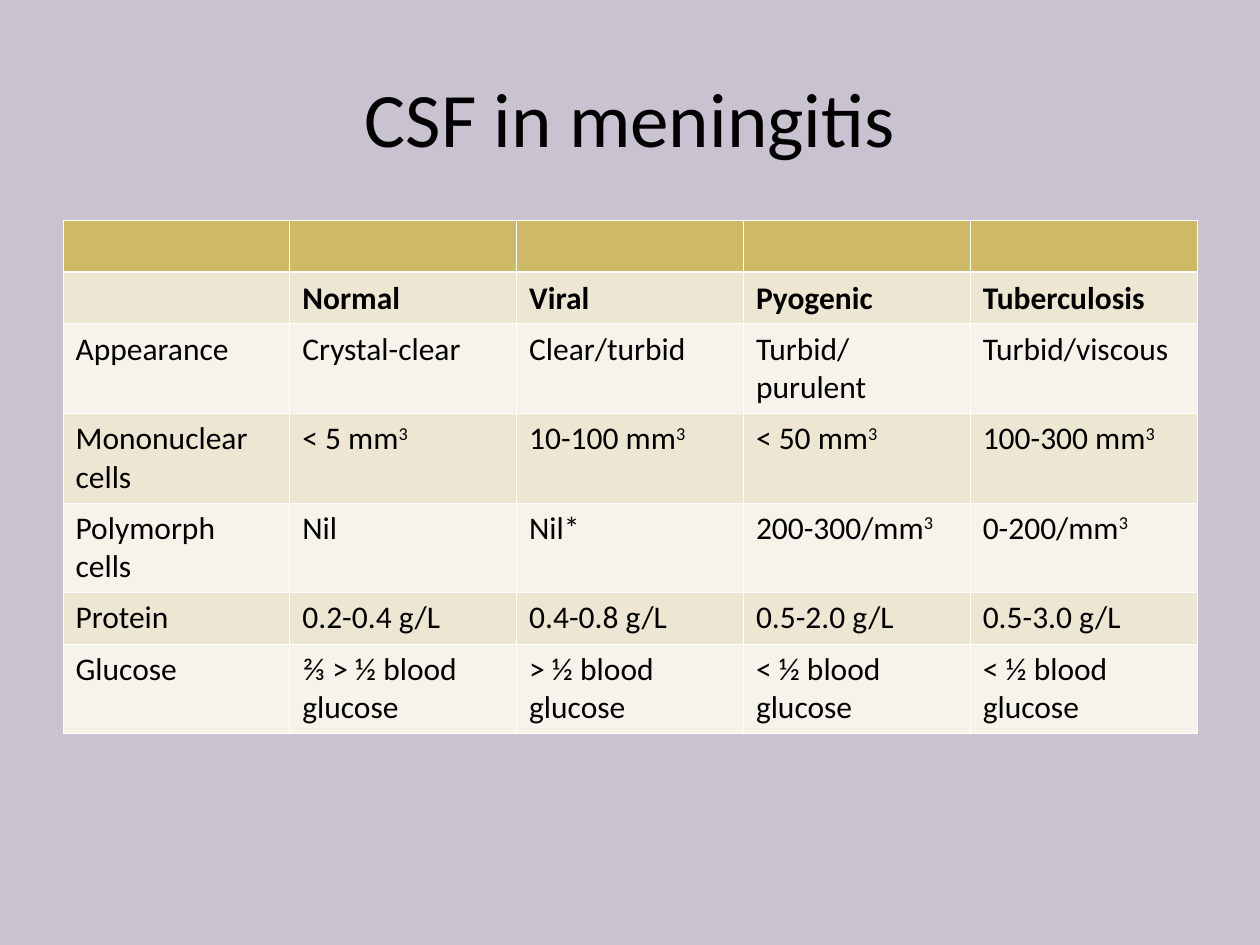
from dataclasses import dataclass
from typing import NamedTuple

from lxml import etree
from pptx import Presentation
from pptx import util as u
from pptx.dml.color import RGBColor
from pptx.enum import text
from pptx.oxml.ns import qn

PX = 9144  # EMU per px, 100 px to the inch


@dataclass(frozen=True)
class Theme:
    font: str = "Calibri"
    ink: str = "000000"
    page: str = "C9C2D1"
    header: str = "CEB966"
    bands: tuple = ("EDE6D3", "F6F3EA")
    rule: str = "FFFFFF"
    title_size: int = 44
    cell_size: int = 18
    thin: float = 0.45
    thick: float = 1.47


class Row(NamedTuple):
    height: int
    values: tuple
    bold: bool = False


THEME = Theme()
SINGLE, DOUBLE = 41, 71
COLUMN_WIDTH = 180
ROWS = [
    Row(SINGLE, ("",) * 5),
    Row(SINGLE, ("", "Normal", "Viral", "Pyogenic", "Tuberculosis"), bold=True),
    Row(DOUBLE, ("Appearance", "Crystal-clear", "Clear/turbid", "Turbid/purulent", "Turbid/viscous")),
    Row(DOUBLE, ("Mononuclear cells", "< 5 mm³", "10-100 mm³", "< 50 mm³", "100-300 mm³")),
    Row(DOUBLE, ("Polymorph cells", "Nil", "Nil*", "200-300/mm³", "0-200/mm³")),
    Row(SINGLE, ("Protein", "0.2-0.4 g/L", "0.4-0.8 g/L", "0.5-2.0 g/L", "0.5-3.0 g/L")),
    Row(DOUBLE, ("Glucose", "⅔ > ½ blood glucose", "> ½ blood glucose",
                 "< ½ blood glucose", "< ½ blood glucose")),
]


def px(length: int) -> int:
    return u.Emu(length * PX)


def style_span(span, size: int, bold: bool = False) -> None:
    span.font.name = THEME.font
    span.font.size = u.Pt(size)
    span.font.bold = bold
    span.font.color.rgb = RGBColor.from_string(THEME.ink)


def set_borders(cell, top: float, bottom: float) -> None:
    properties = cell._tc.get_or_add_tcPr()
    widths = {"a:lnL": THEME.thin, "a:lnR": THEME.thin, "a:lnT": top, "a:lnB": bottom}
    for tag, width in widths.items():
        line = etree.SubElement(properties, qn(tag), w=str(u.Pt(width)))
        fill = etree.SubElement(line, qn("a:solidFill"))
        etree.SubElement(fill, qn("a:srgbClr"), val=THEME.rule)


def write_cell(cell, value: str, bold: bool) -> None:
    """Write the value; a trailing ³ becomes a raised 3."""
    para = cell.text_frame.paragraphs[0]
    para.text = value.replace("³", "")
    for span in para.runs:
        style_span(span, THEME.cell_size, bold)
    if value.endswith("³"):
        power = para.add_run()
        power.text = "3"
        style_span(power, THEME.cell_size, bold)
        power._r.get_or_add_rPr().set("baseline", "30000")


def draw_title(page, wording: str) -> None:
    title = page.shapes.title
    title.left, title.top, title.width, title.height = map(px, (50, 30, 900, 125))
    title.text_frame.text = wording
    title.text_frame.vertical_anchor = text.MSO_ANCHOR.MIDDLE
    para = title.text_frame.paragraphs[0]
    para.alignment = text.PP_ALIGN.CENTER
    style_span(para.runs[0], THEME.title_size)


def draw_table(page, rows: list[Row]) -> None:
    columns = len(rows[0].values)
    height = sum(row.height for row in rows)
    table = page.shapes.add_table(len(rows), columns, px(50), px(175),
                                  px(columns * COLUMN_WIDTH), px(height)).table
    for column in table.columns:
        column.width = px(COLUMN_WIDTH)
    for index, row in enumerate(rows):
        table.rows[index].height = px(row.height)
        color = THEME.bands[(index - 1) % 2] if index else THEME.header
        for position, value in enumerate(row.values):
            cell = table.cell(index, position)
            # The rule under the header row is heavier
            set_borders(cell, THEME.thick if index == 1 else THEME.thin,
                        THEME.thick if index == 0 else THEME.thin)
            cell.fill.solid()
            cell.fill.fore_color.rgb = RGBColor.from_string(color)
            if row.bold:
                cell.vertical_anchor = text.MSO_ANCHOR.BOTTOM
            write_cell(cell, value, row.bold)


def main() -> None:
    deck = Presentation()
    deck.slide_width, deck.slide_height = px(1000), px(750)
    page = deck.slides.add_slide(deck.slide_layouts[5])

    # Background
    page.background.fill.solid()
    page.background.fill.fore_color.rgb = RGBColor.from_string(THEME.page)

    # Title and findings table
    draw_title(page, "CSF in meningitis")
    draw_table(page, ROWS)
    deck.save("out.pptx")


if __name__ == "__main__":
    main()
